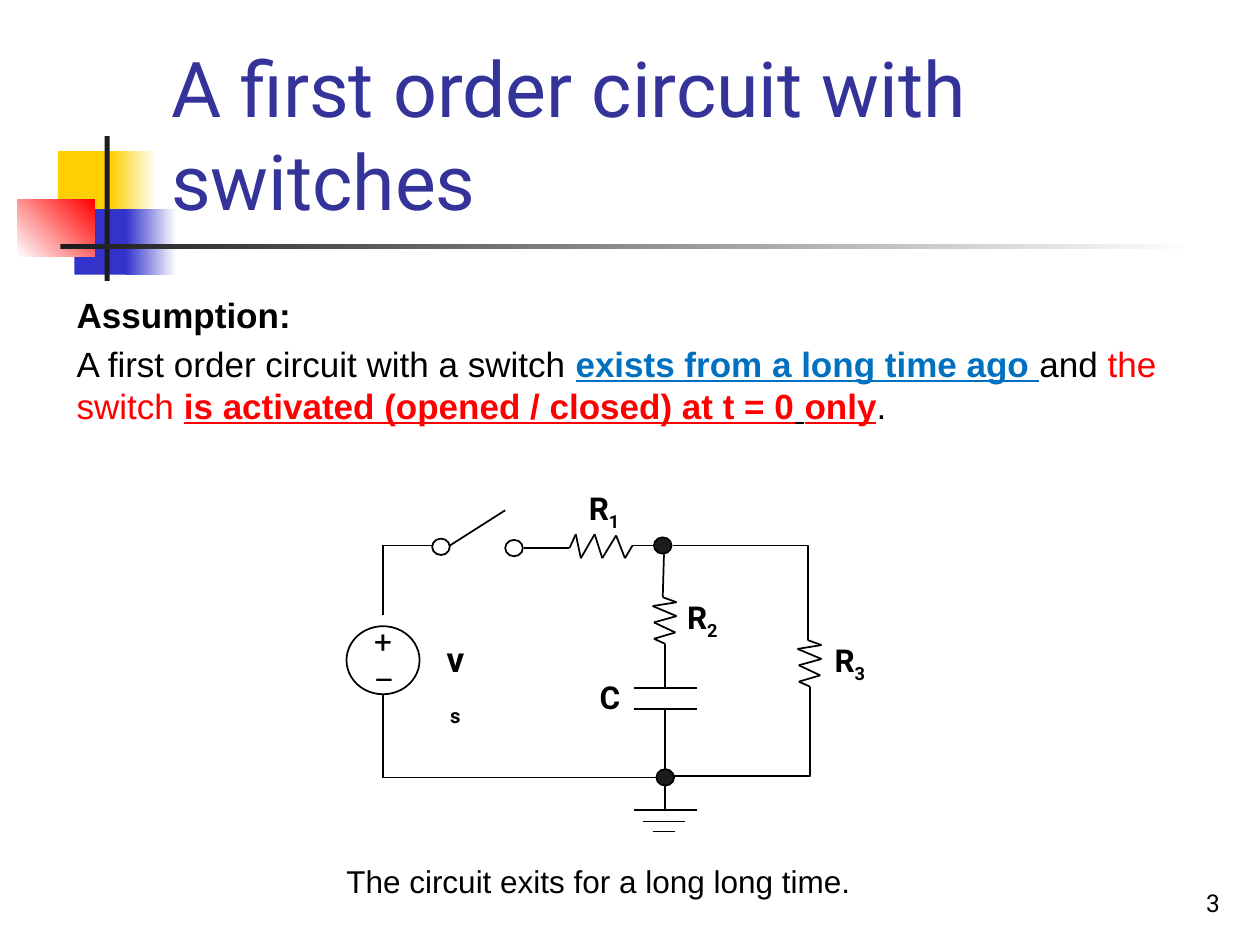
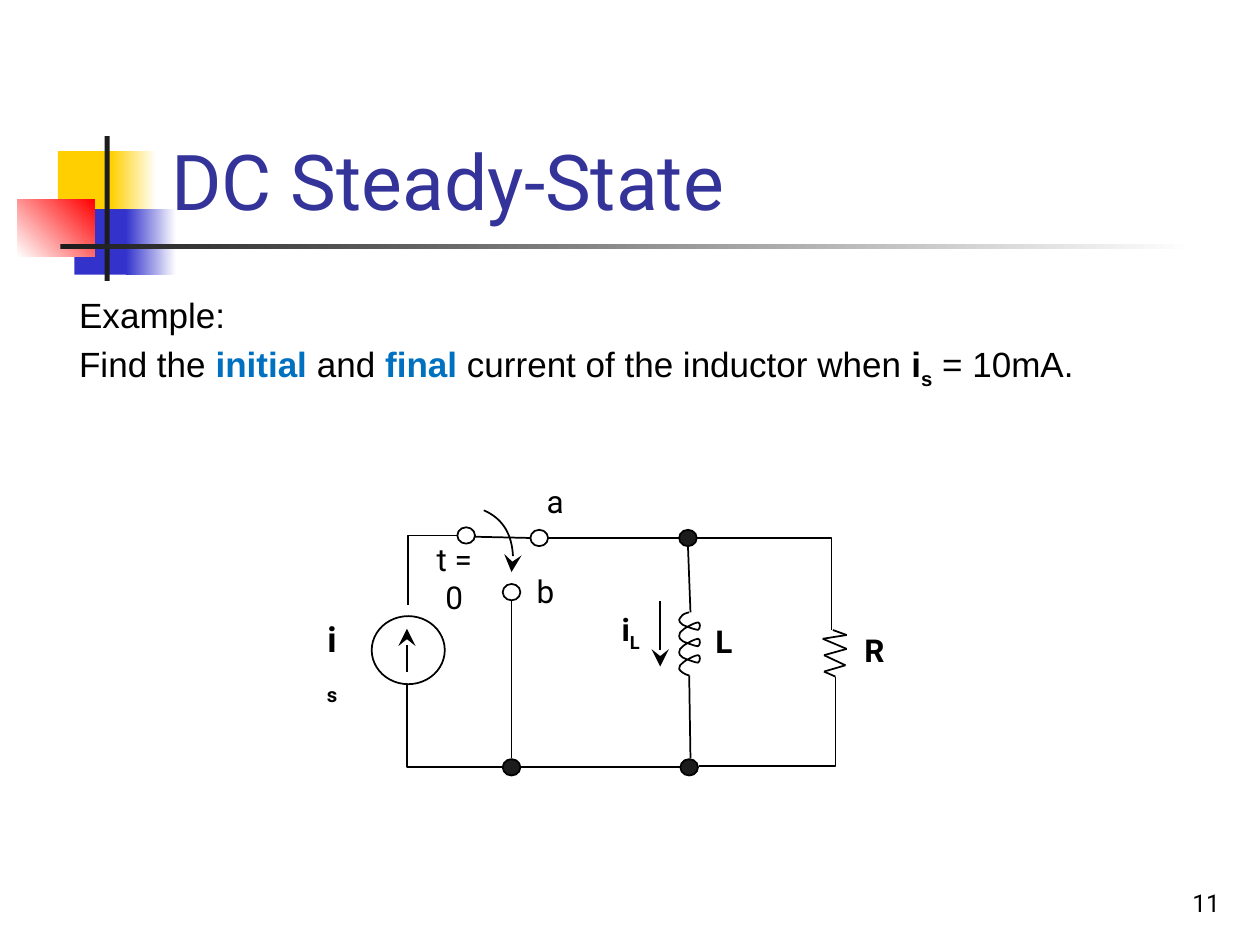
from itertools import pairwise
from lxml.etree import SubElement
from pptx import Presentation
from pptx.dml.color import RGBColor
from pptx.enum.shapes import MSO_CONNECTOR, MSO_SHAPE
from pptx.enum.text import MSO_ANCHOR, PP_ALIGN
from pptx.oxml.ns import qn
from pptx.util import Cm, Pt

BLACK = RGBColor(0x00, 0x00, 0x00)
WHITE = RGBColor(0xFF, 0xFF, 0xFF)
INK = RGBColor(0x1C, 0x1C, 0x1C)
GOLD = RGBColor(0xFF, 0xCF, 0x01)
BLUE = RGBColor(0x33, 0x33, 0xCC)
NAVY = RGBColor(0x33, 0x33, 0x99)
SKY = RGBColor(0x00, 0x70, 0xC0)
RED = RGBColor(0xFF, 0x00, 0x00)
HEAD, BODY = "Roboto", "Arial"
UNIT = 2.54
DOT = (0.14, 0.13)
SOURCE = (0.58, 0.54)
TOP, BASE = MSO_ANCHOR.TOP, MSO_ANCHOR.BOTTOM

BANDS = [
    ((0.46, 1.2, 0.48, 0.52), [GOLD], 0),
    ((0.88, 1.2, 0.36, 0.52), [GOLD, WHITE], 0),
    ((0.59, 1.66, 0.46, 0.52), [BLUE], 0),
    ((1, 1.66, 0.4, 0.52), [BLUE, WHITE], 0),
    ((0.14, 1.58, 0.61, 0.46), [WHITE, RED], 45),
    ((0.83, 1.08, 0.04, 1.15), [INK], 0),
    ((0.48, 1.94, 9, 0.04), [INK, WHITE], 0),
]

ZIGZAG = [(0, 0), (0.11, 0.04), (-0.08, 0.07), (0.11, 0.15),
          (-0.07, 0.2), (0.1, 0.28), (-0.07, 0.33), (0.02, 0.37)]
FLAT = [(0, 0), (0.05, -0.11), (0.09, 0.08), (0.2, -0.11),
        (0.26, 0.08), (0.37, -0.1), (0.44, 0.08), (0.5, -0.02)]

COIL_TOP = [(0.08, 0), (0.08, 0), (0.04, 0.01), (0.03, 0.02),
            (0.02, 0.03), (0, 0.05), (0, 0.06)]
COIL_TURN = [(0, 0.07), (0.01, 0.09), (0.03, 0.1),
             (0.05, 0.11), (0.13, 0.14), (0.15, 0.14),
             (0.17, 0.13), (0.17, 0.08), (0.15, 0.08),
             (0.13, 0.08), (0.05, 0.12), (0.03, 0.14),
             (0.01, 0.15), (0, 0.17), (0, 0.19)]
COIL_END = [(0, 0.46), (0.02, 0.47), (0.03, 0.48),
            (0.04, 0.49), (0.07, 0.5), (0.08, 0.5)]
TURNS, PITCH = 3, 0.13
COIL = COIL_TOP + [(x, y + n * PITCH) for n in range(TURNS)
                   for x, y in COIL_TURN] + COIL_END
SWING = [(0, 0), (0.16, 0.07), (0.27, 0.28), (0.22, 0.49)]

SWITCH = {
    "title": "A first order circuit with switches",
    "page": "3",
    "body": (0.51, 8.92, [
        [("Assumption:", "b", BLACK)],
        [("A first order circuit with a switch ", "", BLACK),
         ("exists from a long time ago ", "bu", SKY),
         ("and ", "", BLACK), ("the switch ", "", RED),
         ("is activated (opened / closed) at t = 0", "bu", RED),
         (" ", "bu", BLACK), ("only", "bu", RED), (".", "", BLACK)],
    ]),
    "bends": [
        ((3.04, 5.51, 2.17, 0.66), 180, False),
        ((2.96, 4.41, 0.55, 0.39), 270, False),
        ((5.34, 4.33, 1.07, 0.75), 0, False),
        ((5.35, 5.45, 1.08, 0.71), 0, True),
    ],
    "wires": [
        [(3.57, 4.33), (4.01, 4.05)],
        [(4.52, 4.35), (4.16, 4.35)],
        [(5.19, 4.33), (5.02, 4.33)],
        [(5.27, 4.4), (5.26, 4.74)],
        [(5.28, 5.46), (5.28, 5.11)],
        [(5.28, 6.1), (5.28, 5.63)],
        [(5.28, 6.42), (5.28, 6.17)],
        [(5.03, 6.43), (5.53, 6.43)],
        [(5.1, 6.52), (5.44, 6.52)],
        [(5.18, 6.6), (5.36, 6.6)],
    ],
    "arrows": [],
    "zigzags": [(4.52, 4.35, FLAT), (5.26, 4.74, ZIGZAG), (6.41, 5.08, ZIGZAG)],
    "plates": [(5.03, 5.46), (5.03, 5.63)],
    "curves": [],
    "rings": [(3.04, 5.24, SOURCE, None),
              (5.26, 4.33, DOT, INK), (5.28, 6.17, DOT, INK),
              (3.5, 4.34, DOT, WHITE), (4.08, 4.35, DOT, WHITE)],
    "labels": [
        ((4.53, 3.83, 0.53, 0.4), ["R_1"], "b", 18, None),
        ((5.34, 4.7, 0.47, 0.4), ["R_2"], "b", 18, None),
        ((6.51, 5.04, 0.47, 0.4), ["R_3"], "b", 18, None),
        ((4.65, 5.33, 0.38, 0.4), ["C"], "b", 18, None),
        ((3.41, 4.72, 0.41, 1.1), ["v_s"], "b", 20, BASE),
        ((2.87, 4.89, 0.34, 0.7), ["+", "–"], "", 18, None),
    ],
    "marks": [],
    "note": "The circuit exits for a long long time.",
}

STEADY = {
    "title": "DC Steady-State",
    "page": "11",
    "body": (0.53, 8.97, [
        [("Example:", "", BLACK)],
        [("Find the ", "", BLACK), ("initial", "b", SKY),
         (" and ", "", BLACK), ("final", "b", SKY),
         (" current of the inductor when ", "", BLACK),
         ("i", "b", BLACK), ("s", "bs", BLACK), (" = 10mA.", "", BLACK)],
    ]),
    "bends": [
        ((3.23, 5.43, 0.76, 0.66), 180, False),
        ((3.16, 4.33, 0.55, 0.39), 270, False),
        ((5.53, 4.27, 1.07, 0.73), 0, False),
        ((5.55, 5.37, 1.08, 0.71), 0, True),
    ],
    "wires": [
        [(4.21, 4.27), (3.77, 4.26)],
        [(5.39, 4.27), (4.35, 4.27)],
        [(5.46, 4.33), (5.48, 4.86)],
        [(5.48, 6.02), (5.47, 5.36)],
        [(4.13, 6.09), (5.4, 6.09)],
        [(4.06, 6.02), (4.06, 4.77)],
    ],
    "arrows": [[(3.23, 5.33), (3.23, 4.99)], [(5.24, 4.77), (5.24, 5.29)]],
    "zigzags": [(6.61, 5, ZIGZAG)],
    "plates": [],
    "curves": [(5.39, 4.86, COIL, False), (3.84, 4.05, SWING, True)],
    "rings": [(3.24, 5.16, SOURCE, None),
              (5.46, 4.27, DOT, INK), (5.47, 6.09, DOT, INK),
              (4.06, 6.09, DOT, INK), (3.7, 4.25, DOT, WHITE),
              (4.28, 4.27, DOT, WHITE), (4.06, 4.7, DOT, WHITE)],
    "labels": [
        ((2.46, 4.56, 0.35, 1.1), ["i_s"], "b", 20, BASE),
        ((3.3, 4.24, 0.61, 0.37), ["t = 0"], "", 18, TOP),
        ((6.75, 4.96, 0.38, 0.4), ["R"], "b", 18, None),
        ((5.56, 4.89, 0.37, 0.4), ["L"], "b", 18, None),
        ((4.82, 4.79, 0.37, 0.4), ["i_L"], "b", 18, None),
    ],
    "marks": [((4.24, 3.78, 0.49, 0.4), "a"), ((4.16, 4.49, 0.49, 0.4), "b")],
    "note": None,
}


def size(*vals):
    return [Cm(v * UNIT) for v in vals]


def write(shapes, box, rows, pt, face, align=PP_ALIGN.LEFT,
          anchor=TOP, wrap=True, gap=0):
    frame = shapes.add_textbox(*size(*box)).text_frame
    frame.word_wrap = wrap
    frame.vertical_anchor = anchor
    for n, row in enumerate(rows):
        para = frame.add_paragraph() if n else frame.paragraphs[0]
        para.alignment = align
        if n:
            para.space_before = Pt(gap)
        for text, marks, tint in row:
            run = para.add_run()
            run.text = text
            font = run.font
            font.name, font.size, font.color.rgb = face, Pt(pt), tint
            font.bold = "b" in marks
            font.underline = "u" in marks
            if "s" in marks:
                run._r.get_or_add_rPr().set("baseline", "-25000")


def ink(part, arrow=False):
    part.line.color.rgb = BLACK
    part.line.width = Pt(1)
    if arrow:
        SubElement(part.line._get_or_add_ln(), qn("a:tailEnd"),
                   type="stealth", w="lg", len="lg")


def join(shapes, start, end, arrow=False):
    link = shapes.add_connector(MSO_CONNECTOR.STRAIGHT, *size(*start, *end))
    ink(link, arrow)
    SubElement(link._element.spPr, qn("a:effectLst"))
    return link


def bend(shapes, box, turn, flip):
    left, top, wide, high = box
    ends = (top + high, top) if flip else (top, top + high)
    link = join(shapes, (left, ends[0]), (left + wide, ends[1]))
    frame = link._element.spPr
    frame.find(qn("a:prstGeom")).set("prst", "bentConnector2")
    if turn:
        frame.find(qn("a:xfrm")).set("rot", str(turn * 60000))


def trace(shapes, left, top, points, arrow=False):
    spots = [size(left + x, top + y) for x, y in points]
    pen = shapes.build_freeform(*spots[0])
    pen.add_line_segments(spots[1:], close=False)
    form = pen.convert_to_shape()
    form.shadow.inherit = False
    form.fill.background()
    ink(form, arrow)
    return form


def curve(shapes, left, top, knots, arrow):
    form = trace(shapes, left, top, knots, arrow)
    route = next(form._element.iter(qn("a:path")))
    steps = route.findall(qn("a:lnTo"))
    for n in range(0, len(steps), 3):
        arc = SubElement(route, qn("a:cubicBezTo"))
        for step in steps[n:n + 3]:
            arc.append(step[0])
            route.remove(step)


def ring(shapes, x, y, span, tint):
    wide, high = span
    disc = shapes.add_shape(
        MSO_SHAPE.OVAL, *size(x - wide / 2, y - high / 2, wide, high))
    disc.shadow.inherit = False
    if tint is None:
        disc.fill.background()
    else:
        disc.fill.solid()
        disc.fill.fore_color.rgb = tint
    ink(disc)


def band(shapes, box, tints, angle):
    bar = shapes.add_shape(MSO_SHAPE.RECTANGLE, *size(*box))
    bar.shadow.inherit = False
    bar.line.fill.background()
    if len(tints) == 1:
        bar.fill.solid()
        bar.fill.fore_color.rgb = tints[0]
        return
    bar.fill.gradient()
    bar.fill.gradient_angle = angle
    for stop, tint in zip(bar.fill.gradient_stops, tints):
        stop.color.rgb = tint


def split(text, marks):
    base, _, sub = text.partition("_")
    runs = [(base, marks, BLACK)]
    return runs + [(sub, marks + "s", BLACK)] if sub else runs


def draw(shapes, data):
    for item in data["bends"]:
        bend(shapes, *item)
    for ends in data["wires"]:
        join(shapes, *ends)
    for ends in data["arrows"]:
        join(shapes, *ends, arrow=True)
    for left, top, points in data["zigzags"]:
        for start, end in pairwise([(left + x, top + y) for x, y in points]):
            join(shapes, start, end)
    for left, top in data["plates"]:
        trace(shapes, left, top, [(0, 0), (0.25, 0), (0.5, 0)])
    for item in data["curves"]:
        curve(shapes, *item)
    for item in data["rings"]:
        ring(shapes, *item)
    for box, lines, marks, pt, anchor in data["labels"]:
        write(shapes, box, [split(text, marks) for text in lines], pt, HEAD,
              PP_ALIGN.CENTER, anchor or TOP, anchor is not None)


def build(deck, data):
    shapes = deck.slides.add_slide(deck.slide_layouts[6]).shapes
    for item in BANDS:
        band(shapes, *item)
    write(shapes, (1.26, 0.24, 8.52, 1.6), [[(data["title"], "", NAVY)]],
          44, HEAD, anchor=BASE)
    left, wide, rows = data["body"]
    write(shapes, (left, 2.28, wide, 4.5), rows, 20, BODY, gap=4)
    draw(shapes.add_group_shape().shapes, data)
    for box, text in data["marks"]:
        write(shapes, box, [[(text, "", BLACK)]], 18, HEAD)
    if data["note"]:
        write(shapes, (2.6, 6.79, 4.3, 0.4), [[(data["note"], "", BLACK)]],
              18, BODY, PP_ALIGN.CENTER, wrap=False)
    write(shapes, (7.7, 6.83, 2.08, 0.5), [[(data["page"], "", BLACK)]],
          14, HEAD, PP_ALIGN.RIGHT, BASE)


def main():
    deck = Presentation()
    deck.slide_width, deck.slide_height = size(10, 7.5)
    for data in (SWITCH, STEADY):
        build(deck, data)
    deck.save("out.pptx")


if __name__ == "__main__":
    main()
